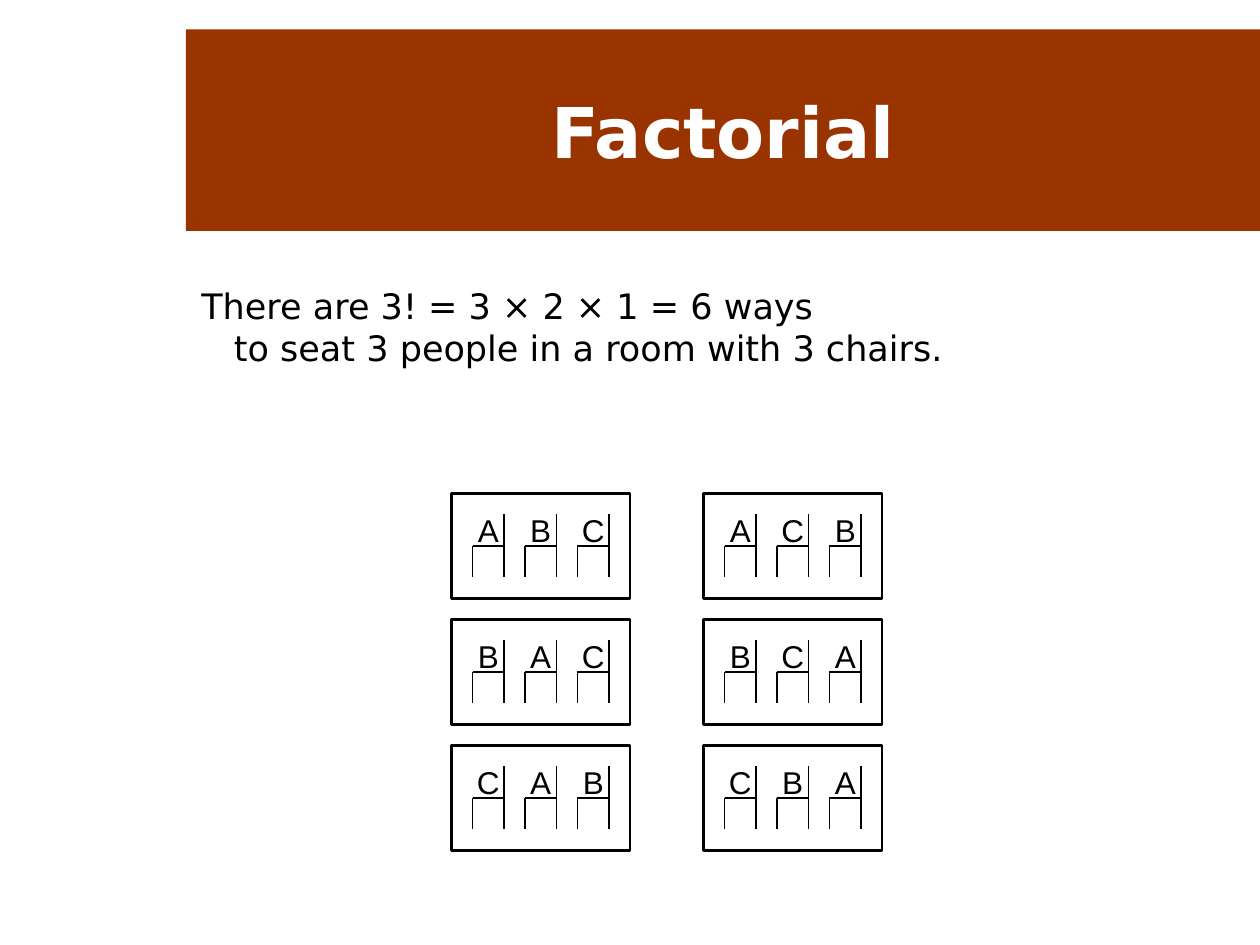
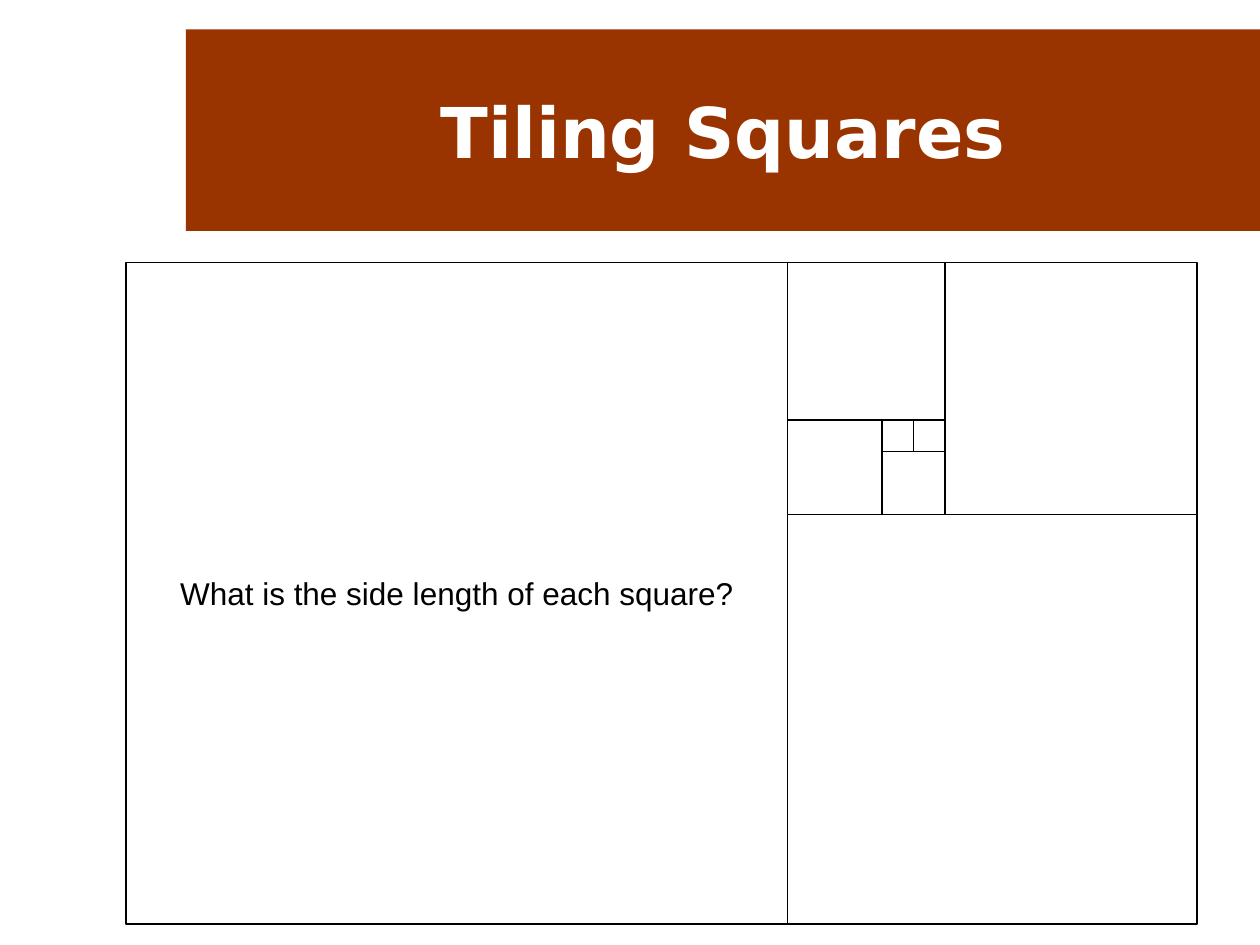
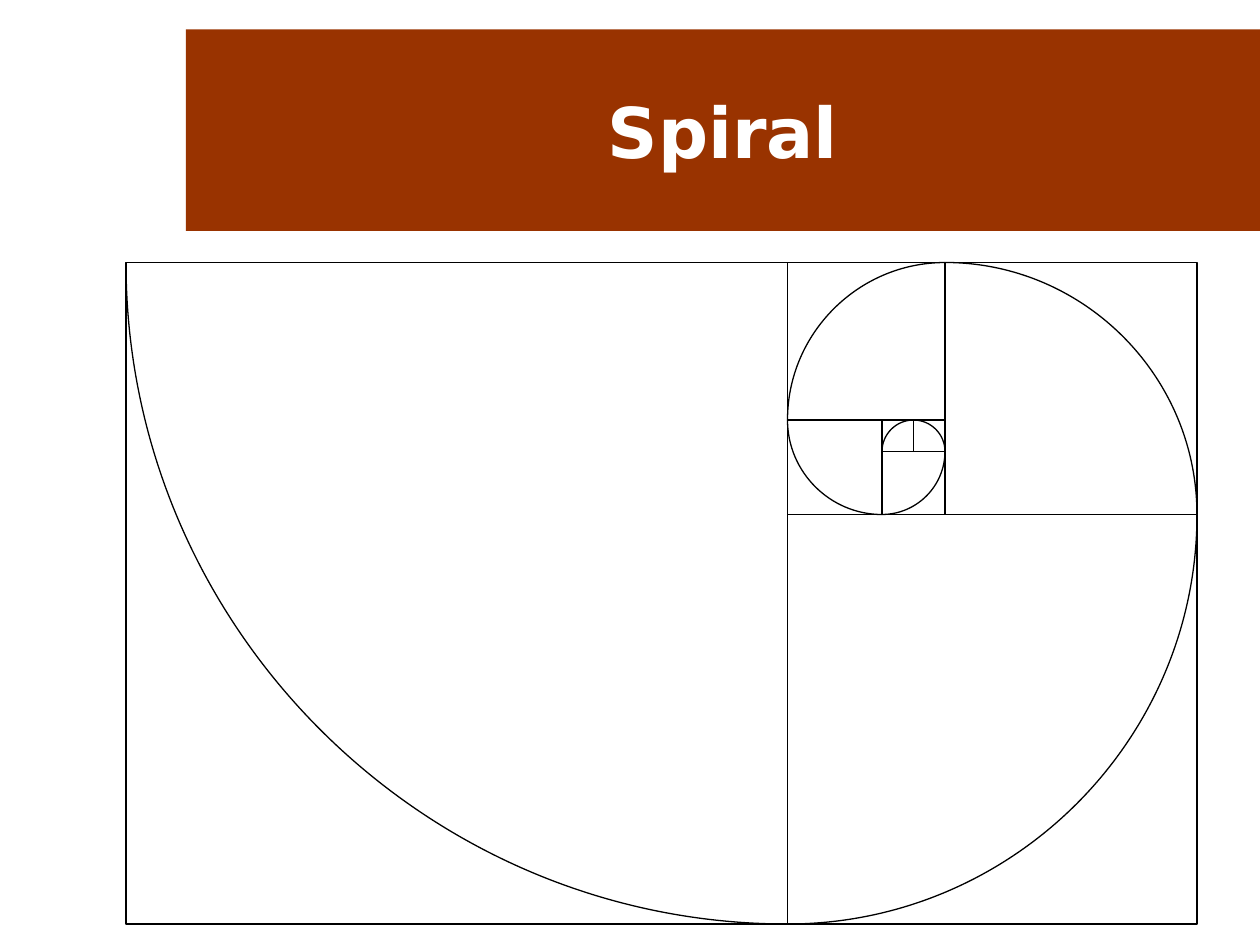
from itertools import permutations

from lxml.etree import SubElement
from pptx import Presentation
from pptx.dml.color import RGBColor
from pptx.enum.shapes import MSO_CONNECTOR, MSO_SHAPE
from pptx.enum.text import MSO_ANCHOR, PP_ALIGN
from pptx.oxml.ns import qn
from pptx.util import Emu, Pt

SCALE = 7620  # EMU in one px, 120 px to the inch
SLIDE_SIZE = (1200, 900)
TITLE_BOX = (177, 28, 1023, 192)
TITLE_ONLY = 5

COLORS = {"band": "993300", "title": "FFFFFF", "ink": "000000"}
FORMATS = {
    "title": {"name": "DejaVu Sans", "size": Pt(40), "bold": True},
    "body": {"name": "DejaVu Sans", "size": Pt(20)},
    "label": {"name": "Arial", "size": Pt(18)},
}

# Squares are cut off the rectangle on these sides in turn, largest first.
TILE_SIDES = ("left", "bottom", "right", "top")
TILE_SIZES = (21, 13, 8, 5, 3, 2, 1, 1)
TILE_UNIT = 30
TILING_BOX = (120, 250, 34 * TILE_UNIT, 21 * TILE_UNIT)
# Arc centre as a fraction of the square's width and height.
ARC_CENTERS = {"left": (1, 0), "bottom": (0, 0), "right": (0, 1), "top": (1, 1)}
ARC_PULL = 0.55  # control point distance that bends a curve into a quarter circle


def px(*lengths):
    return [Emu(round(length * SCALE)) for length in lengths]


def color(name):
    return RGBColor.from_string(COLORS[name])


def write_text(shape, text, style, ink="ink", align=PP_ALIGN.CENTER,
               anchor=MSO_ANCHOR.MIDDLE, wrap=False):
    frame = shape.text_frame
    frame.word_wrap = wrap
    frame.vertical_anchor = anchor
    frame.text = text
    para = frame.paragraphs[0]
    para.alignment = align
    for span in para.runs:
        for name, value in FORMATS[style].items():
            setattr(span.font, name, value)
        span.font.color.rgb = color(ink)
    return para


def draw_outline(shape, width=0.75):
    shape.shadow.inherit = False
    shape.fill.background()
    shape.line.color.rgb = color("ink")
    shape.line.width = Pt(width)


def add_frame(page, box, width=0.75):
    frame = page.shapes.add_shape(MSO_SHAPE.RECTANGLE, *px(*box))
    draw_outline(frame, width)
    return frame


def add_line(page, *ends):
    line = page.shapes.add_connector(MSO_CONNECTOR.STRAIGHT, *px(*ends))
    line.line.color.rgb = color("ink")
    line.line.width = Pt(0.75)
    SubElement(line._element.spPr, qn("a:effectLst"))


def add_page(deck, heading):
    page = deck.slides.add_slide(deck.slide_layouts[TITLE_ONLY])
    title = page.shapes.title
    title.left, title.top, title.width, title.height = px(*TITLE_BOX)
    title.fill.solid()
    title.fill.fore_color.rgb = color("band")
    write_text(title, heading, "title", ink="title", wrap=True)
    return page


def add_statement(page, box, text):
    statement = page.shapes.add_textbox(*px(*box))
    para = write_text(statement, text, "body", align=PP_ALIGN.LEFT,
                      anchor=MSO_ANCHOR.TOP, wrap=True)
    hanging = px(31)[0]
    properties = para._p.get_or_add_pPr()
    properties.set("marL", str(hanging))
    properties.set("indent", str(-hanging))


def add_chair(page, left, top, person, seat=30):
    """Draw a side view of a chair, with the person's letter on its seat."""
    right, middle, bottom = left + seat, top + seat, top + 2 * seat
    add_line(page, left, middle, right, middle)
    add_line(page, right, top, right, bottom)
    add_line(page, left, middle, left, bottom)
    letter = page.shapes.add_textbox(*px(left, top, seat, seat))
    letter.text_frame.margin_left = letter.text_frame.margin_right = 0
    write_text(letter, person, "label")


def add_room(page, box, people):
    add_frame(page, box, width=1.5)
    for place, person in enumerate(people):
        add_chair(page, box[0] + 20 + 50 * place, box[1] + 20, person)


def cut_tiles(box):
    """Return (side, left, top, size) of each square, smallest first."""
    left, top, width, height = box
    tiles = []
    for step, units in enumerate(TILE_SIZES):
        side = TILE_SIDES[step % len(TILE_SIDES)]
        size = units * TILE_UNIT
        tile_left = left + width - size if side == "right" else left
        tile_top = top + height - size if side == "bottom" else top
        tiles.append((side, tile_left, tile_top, size))
        if side in ("left", "right"):
            width -= size
            left += size if side == "left" else 0
        else:
            height -= size
            top += size if side == "top" else 0
    return tiles[::-1]


def add_tiles(page, tiles):
    """Draw the squares and return the largest."""
    return [add_frame(page, (left, top, size, size))
            for _, left, top, size in tiles][-1]


def bend_segments(shape):
    """Turn the three straight segments of an outline into one Bézier curve."""
    outline = shape._element.find(".//" + qn("a:path"))
    curve = SubElement(outline, qn("a:cubicBezTo"))
    for segment in outline.findall(qn("a:lnTo")):
        curve.append(segment[0])
        outline.remove(segment)


def add_quarter_arc(page, side, left, top, size):
    across, down = ARC_CENTERS[side]
    center_x, center_y = left + across * size, top + down * size
    reach_x, reach_y = size * (1 - 2 * across), size * (1 - 2 * down)
    start, *others = [
        px(center_x + reach_x * x, center_y + reach_y * y)
        for x, y in ((0, 1), (ARC_PULL, 1), (1, ARC_PULL), (1, 0))
    ]
    builder = page.shapes.build_freeform(*start)
    builder.add_line_segments(others, close=False)
    arc = builder.convert_to_shape()
    bend_segments(arc)
    draw_outline(arc)


def build_factorial(deck):
    page = add_page(deck, "Factorial")
    add_statement(page, (180, 265, 1020, 540),
                  "There are 3! = 3 × 2 × 1 = 6 ways\v"
                  "to seat 3 people in a room with 3 chairs.")
    for index, people in enumerate(permutations("ABC")):
        row, column = divmod(index, 2)
        add_room(page, (430 + 240 * column, 470 + 120 * row, 170, 100), people)


def build_tiling(deck):
    page = add_page(deck, "Tiling Squares")
    largest = add_tiles(page, cut_tiles(TILING_BOX))
    write_text(largest, "What is the side length of each square?", "label")


def build_spiral(deck):
    page = add_page(deck, "Spiral")
    tiles = cut_tiles(TILING_BOX)
    add_tiles(page, tiles)
    for tile in tiles:
        add_quarter_arc(page, *tile)


def main():
    deck = Presentation()
    deck.slide_width, deck.slide_height = px(*SLIDE_SIZE)
    for build in (build_factorial, build_tiling, build_spiral):
        build(deck)
    deck.save("out.pptx")


if __name__ == "__main__":
    main()
